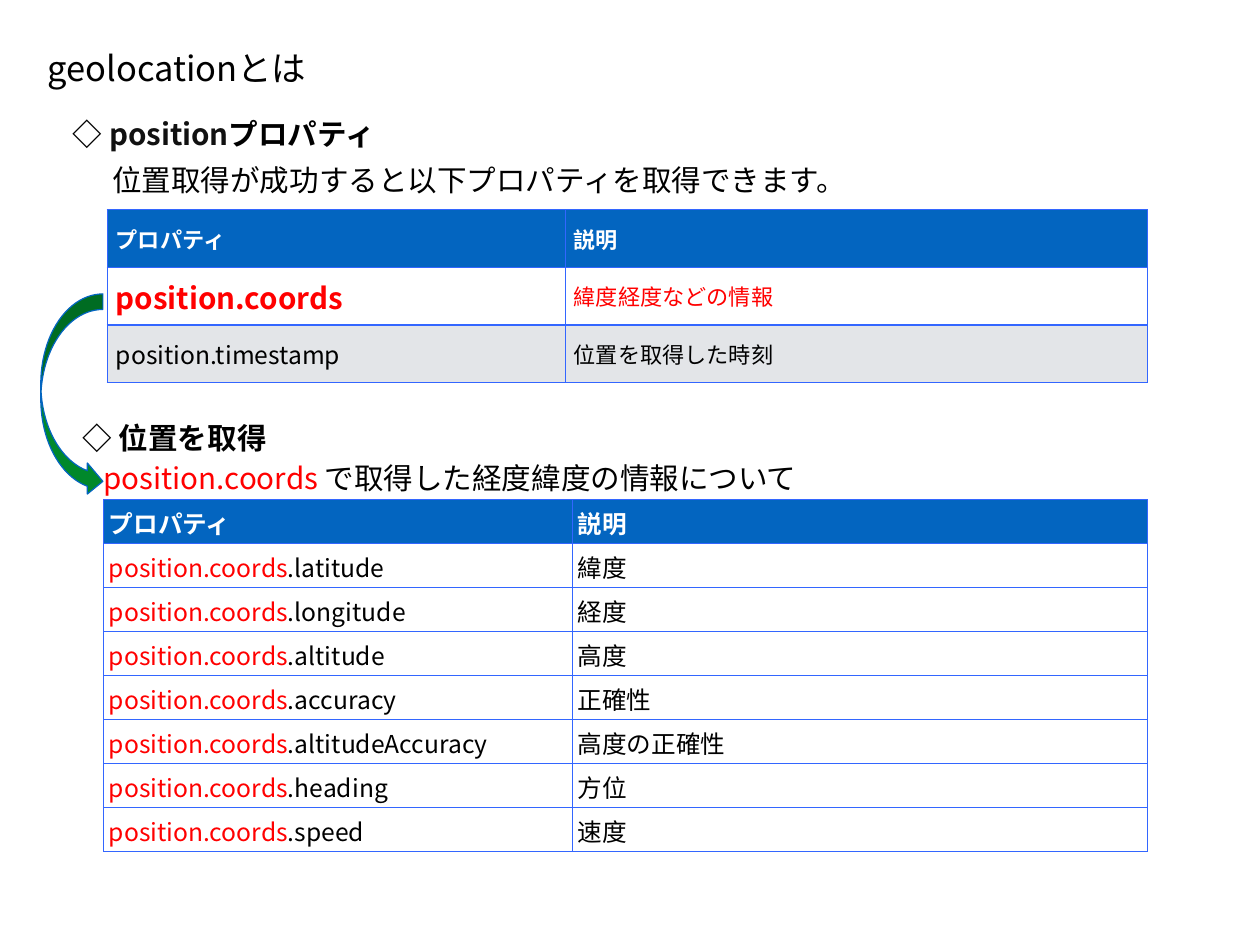
from dataclasses import dataclass
from typing import Any

from lxml.etree import SubElement as Sub
from pptx import Presentation
from pptx.dml.color import RGBColor as Rgb
from pptx.enum.shapes import MSO_SHAPE as Kind
from pptx.enum.text import MSO_ANCHOR as Anchor
from pptx.oxml.ns import qn
from pptx.util import Cm, Pt

FACE = "Noto Sans CJK JP"
BLUE, EDGE, RED = "0365C0", "3366FF", "FF0000"
BLACK, WHITE, GRAY, GREEN = "000000", "FFFFFF", "E3E5E8", "00882B"
COORDS = "position.coords"


@dataclass
class Run:
    text: str
    size: float = 24
    tint: str = BLACK
    bold: bool = False


@dataclass
class Box:
    place: tuple[float, float, float, float]
    runs: list[Run]
    frame: dict[str, Any]
    lead: float | None = None


@dataclass
class Cell:
    runs: list[Run]
    fill: str = WHITE


@dataclass
class Grid:
    spot: tuple[float, float]
    cols: list[float]
    step: float
    rows: list[list[Cell]]
    frame: dict[str, Any]


def color(code: str) -> Rgb:
    return Rgb.from_string(code)


def assign(item: Any, values: dict[str, Any]) -> None:
    for name, value in values.items():
        setattr(item, name, value)


def pad(side: float, top: float, left: float | None = None) -> dict[str, Any]:
    return {
        "margin_left": Cm(side if left is None else left),
        "margin_right": Cm(side),
        "margin_top": Cm(top),
        "margin_bottom": Cm(top),
    }


def write(para: Any, runs: list[Run]) -> None:
    for part in runs:
        run = para.add_run()
        run.text = part.text
        assign(run.font, {"name": FACE, "size": Pt(part.size), "bold": part.bold})
        run.font.color.rgb = color(part.tint)
        Sub(run.font._element, qn("a:ea"), typeface=FACE)


def draw_box(slide: Any, box: Box) -> None:
    frame = slide.shapes.add_textbox(*map(Cm, box.place)).text_frame
    assign(frame, {"word_wrap": True, **box.frame})
    para = frame.paragraphs[0]
    if box.lead:
        para.line_spacing = Pt(box.lead)
    write(para, box.runs)


def draw_edge(cell: Any) -> None:
    props = cell._tc.get_or_add_tcPr()
    for side in ("lnL", "lnR", "lnT", "lnB"):
        line = Sub(props, qn(f"a:{side}"), w=str(Pt(1)))
        Sub(Sub(line, qn("a:solidFill")), qn("a:srgbClr"), val=EDGE)


def draw_grid(slide: Any, grid: Grid) -> None:
    size = sum(grid.cols), grid.step * len(grid.rows)
    shape = slide.shapes.add_table(
        len(grid.rows), len(grid.cols), *map(Cm, grid.spot + size)
    )
    table = shape.table
    table.horz_banding = False
    for col, width in zip(table.columns, grid.cols):
        col.width = Cm(width)
    for row, items in zip(table.rows, grid.rows):
        row.height = Cm(grid.step)
        for cell, item in zip(row.cells, items):
            draw_edge(cell)
            assign(cell, {"vertical_anchor": Anchor.MIDDLE, **grid.frame})
            cell.fill.solid()
            cell.fill.fore_color.rgb = color(item.fill)
            write(cell.text_frame.paragraphs[0], item.runs)


def draw_arrow(slide: Any, place: tuple[float, float, float, float]) -> None:
    arrow = slide.shapes.add_shape(Kind.CURVED_RIGHT_ARROW, *map(Cm, place))
    arrow.shadow.inherit = False
    arrow.fill.solid()
    arrow.fill.fore_color.rgb = color(GREEN)
    arrow.line.color.rgb = color(BLUE)
    arrow.line.width = Pt(1)


def header(size: float) -> list[Cell]:
    return [Cell([Run(text, size, WHITE, True)], BLUE) for text in ("プロパティ", "説明")]


FIELDS = {
    "latitude": "緯度",
    "longitude": "経度",
    "altitude": "高度",
    "accuracy": "正確性",
    "altitudeAccuracy": "高度の正確性",
    "heading": "方位",
    "speed": "速度",
}

LOWER = Grid(
    (2.97, 14.33), [13.44, 16.48], 1.26,
    [header(20)] + [
        [Cell([Run(COORDS, 20, RED), Run(f".{name}", 20)]), Cell([Run(text, 20)])]
        for name, text in FIELDS.items()
    ],
    pad(0.15, 0.15),
)

UPPER = Grid(
    (3.07, 6.02), [13.13, 16.69], 1.65,
    [
        header(18),
        [Cell([Run(COORDS, 24, RED, True)]), Cell([Run("緯度経度などの情報", 18, RED)])],
        [
            Cell([Run("position.timestamp", 20)], GRAY),
            Cell([Run("位置を取得した時刻", 18)], GRAY),
        ],
    ],
    pad(0.25, 0.13),
)

BOXES = [
    Box((1.37, 0.74, 8.61, 1.8), [Run("geolocationとは", 28)],
        {"vertical_anchor": Anchor.BOTTOM, **pad(0, 0)}),
    Box((1.37, 11.89, 25.15, 1.32), [Run("◇ 位置を取得", bold=True)],
        {"vertical_anchor": Anchor.MIDDLE, **pad(0.15, 0.15, 1)}),
    Box((2.97, 12.45, 29.49, 1.65),
        [Run(COORDS, tint=RED), Run(" で取得した経度緯度の情報について")], pad(0, 0), 50),
    Box((1.27, 3.2, 24.08, 1.27),
        [Run("◇ ", bold=True), Run("position", tint="111111", bold=True),
         Run("プロパティ", bold=True)], pad(0.25, 0.13, 0.82)),
    Box((2.97, 4.52, 24.21, 1.27),
        [Run("位置取得が成功すると以下プロパティを取得できます。")], pad(0.25, 0.13)),
]


def main() -> None:
    deck = Presentation()
    assign(deck, {"slide_width": Cm(36.12), "slide_height": Cm(27.1)})
    slide = deck.slides.add_slide(deck.slide_layouts[6])
    for box in BOXES:
        draw_box(slide, box)
    for grid in (LOWER, UPPER):
        draw_grid(slide, grid)
    draw_arrow(slide, (1.17, 8.43, 1.78, 5.82))
    deck.save("out.pptx")


if __name__ == "__main__":
    main()
